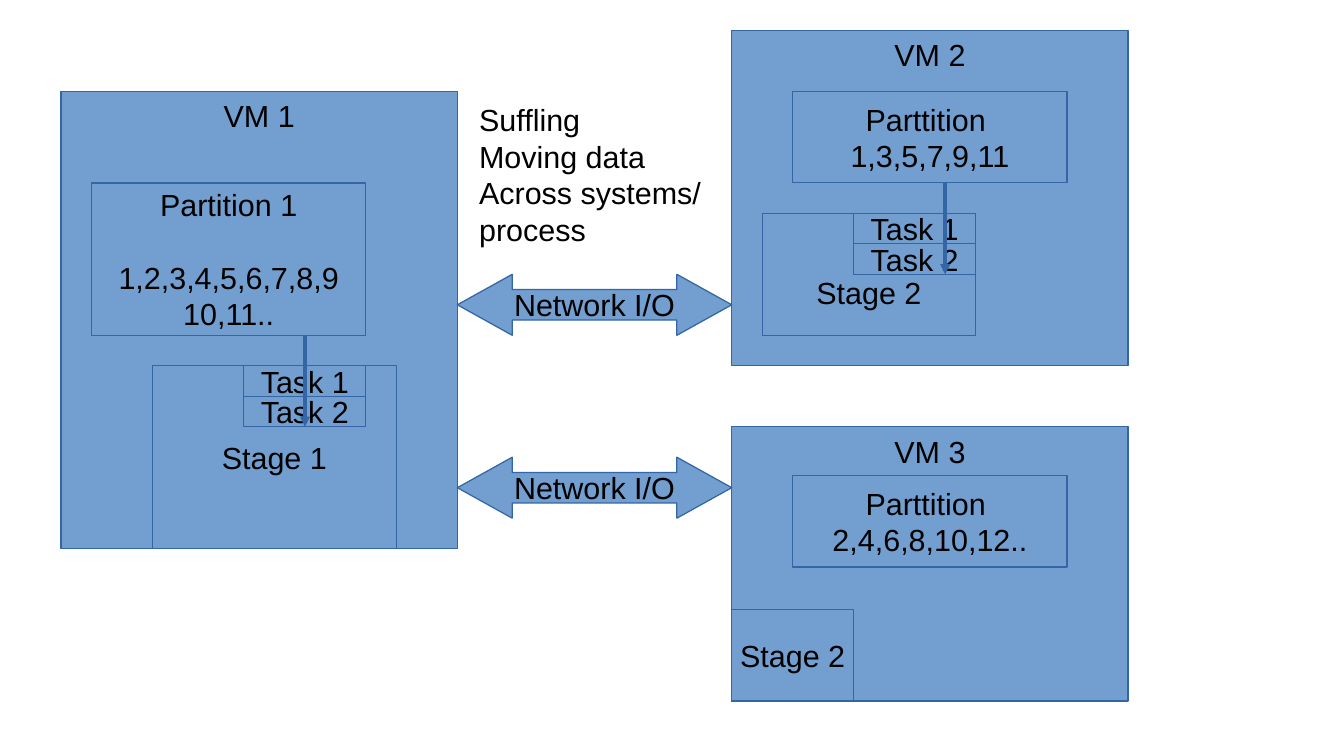
import dataclasses

import pptx
import pptx.dml.color
import pptx.enum.shapes
import pptx.enum.text
import pptx.oxml.ns
import pptx.util
from lxml import etree

Inches = pptx.util.Inches
Pt = pptx.util.Pt
RGB = pptx.dml.color.RGBColor
Shape = pptx.enum.shapes.MSO_SHAPE
Anchor = pptx.enum.text.MSO_ANCHOR
Align = pptx.enum.text.PP_ALIGN
qn = pptx.oxml.ns.qn


@dataclasses.dataclass
class Theme:
    font: str = "Arial"
    size: int = 18
    blank_line: int = 21
    line_width: int = 0
    fill: RGB = RGB(0x72, 0x9F, 0xCF)
    line: RGB = RGB(0x34, 0x65, 0xA4)
    ink: RGB = RGB(0, 0, 0)


class Diagram:
    def __init__(self, page, theme):
        self.page = page
        self.theme = theme

    def add_lines(self, box, lines, align, anchor, wrap):
        frame = box.text_frame
        frame.word_wrap = wrap
        frame.vertical_anchor = anchor
        for index, line in enumerate(lines):
            para = frame.paragraphs[0] if index == 0 else frame.add_paragraph()
            para.alignment = align
            span = para.add_run()
            span.text = line
            span.font.name = self.theme.font
            span.font.size = Pt(self.theme.size)
            span.font.color.rgb = self.theme.ink

    def outline(self, line):
        line.color.rgb = self.theme.line
        line.width = Pt(self.theme.line_width)

    def block(self, lines, left, top, width, height,
              anchor=Anchor.MIDDLE, kind=Shape.RECTANGLE):
        box = self.page.shapes.add_shape(
            kind, Inches(left), Inches(top), Inches(width), Inches(height))
        box.shadow.inherit = False
        box.fill.solid()
        box.fill.fore_color.rgb = self.theme.fill
        self.outline(box.line)
        self.add_lines(box, lines, Align.CENTER, anchor, False)
        return box

    def machine(self, name, left, top, height):
        self.block([name], left, top, 3.25, height, Anchor.TOP)

    def network(self, top):
        arrow = self.block(["Network I/O"], 3.75, top, 2.25, 0.5,
                           kind=Shape.LEFT_RIGHT_ARROW)
        arrow.adjustments[0] = 0.5
        arrow.adjustments[1] = 0.9

    def tasks(self, left, top):
        for index in range(2):
            self.block([f"Task {index + 1}"], left, top + index * 0.25, 1, 0.25)

    def flow(self, x, top):
        link = self.page.shapes.add_connector(
            pptx.enum.shapes.MSO_CONNECTOR.STRAIGHT,
            Inches(x), Inches(top), Inches(x), Inches(top + 0.75))
        self.outline(link.line)
        properties = link._element.spPr
        etree.SubElement(properties.find(qn("a:ln")), qn("a:tailEnd"), type="triangle")
        etree.SubElement(properties, qn("a:effectLst"))

    def note(self, lines, left, top, width, height):
        box = self.page.shapes.add_textbox(
            Inches(left), Inches(top), Inches(width), Inches(height))
        self.add_lines(box, lines, Align.LEFT, Anchor.TOP, True)


deck = pptx.Presentation()
deck.slide_width = Inches(11.02)
deck.slide_height = Inches(6.2)
theme = Theme()
diagram = Diagram(deck.slides.add_slide(deck.slide_layouts[6]), theme)

diagram.machine("VM 1", 0.5, 0.75, 3.75)
diagram.machine("VM 2", 6, 0.25, 2.75)
diagram.machine("VM 3", 6, 3.5, 2.25)
for top in (2.25, 3.75):
    diagram.network(top)

partition = diagram.block(
    ["Partition 1", "1,2,3,4,5,6,7,8,9", "10,11.."], 0.75, 1.5, 2.25, 1.25)
partition.text_frame.paragraphs[1].space_before = Pt(theme.blank_line)
for numbers, top in (("1,3,5,7,9,11", 0.75), ("2,4,6,8,10,12..", 3.9)):
    diagram.block(["Parttition ", numbers], 6.5, top, 2.25, 0.75)

diagram.note(["Suffling", "Moving data", "Across systems/", "process"],
             3.83, 0.78, 2.02, 1.22)

diagram.block(["Stage 1"], 1.25, 3, 2, 1.5)
diagram.tasks(2, 3)
diagram.flow(2.5, 2.75)

stage = diagram.block(["Stage 2"], 6.25, 1.75, 1.75, 1)
stage.text_frame.margin_top = Inches(0.05) + Pt(theme.blank_line)
diagram.block(["Stage 2"], 6, 5, 1, 0.75)
diagram.tasks(7, 1.75)
diagram.flow(7.75, 1.5)

deck.save("out.pptx")
